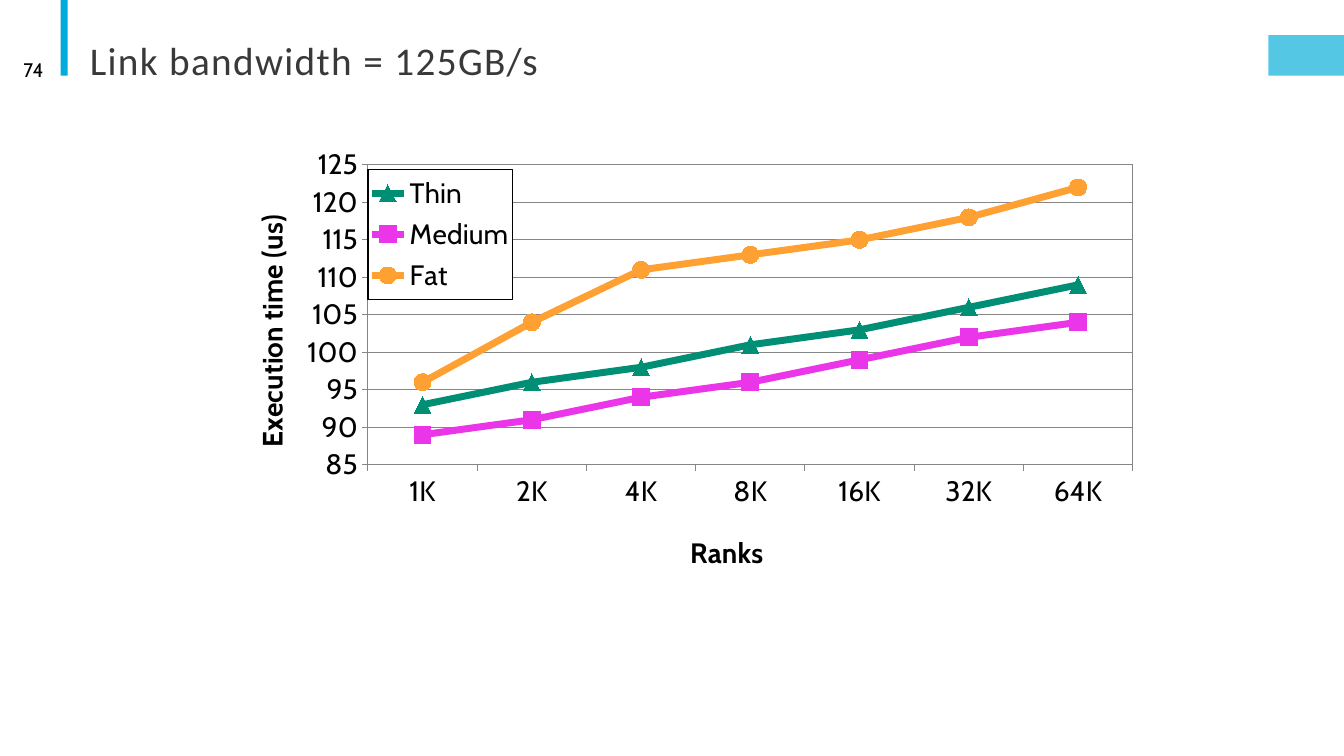
"""Build the link bandwidth slide with its execution time line chart."""
from dataclasses import dataclass
from typing import Any, Optional

from lxml import etree
from pptx import Presentation, oxml
from pptx import util as u
from pptx.chart.data import CategoryChartData
from pptx.dml.color import RGBColor
from pptx.enum import chart as ch, shapes, text
from pptx.oxml.ns import nsdecls, qn

BLACK = RGBColor(0x00, 0x00, 0x00)
TITLE_GRAY = RGBColor(0x3B, 0x38, 0x38)
GRID_GRAY = RGBColor(0x86, 0x86, 0x86)
CYAN = RGBColor(0x00, 0xAC, 0xD9)
GREEN = RGBColor(0x00, 0x8E, 0x74)
MAGENTA = RGBColor(0xEA, 0x35, 0xE8)
ORANGE = RGBColor(0xFF, 0xA0, 0x33)

RANKS = ["1K", "2K", "4K", "8K", "16K", "32K", "64K"]


@dataclass(frozen=True)
class Bar:
    left: float
    top: float
    width: float
    height: float
    rotation: float = 0
    alpha: Optional[int] = None


@dataclass(frozen=True)
class Topology:
    name: str
    times: tuple[int, ...]
    color: RGBColor
    marker: ch.XL_MARKER_STYLE


BARS = [
    Bar(0.26, 0.34, 0.75, 0.07, rotation=90),
    Bar(12.58, 0.35, 0.75, 0.4, alpha=67),
]
TOPOLOGIES = [
    Topology("Thin", (93, 96, 98, 101, 103, 106, 109), GREEN, ch.XL_MARKER_STYLE.TRIANGLE),
    Topology("Medium", (89, 91, 94, 96, 99, 102, 104), MAGENTA, ch.XL_MARKER_STYLE.SQUARE),
    Topology("Fat", (96, 104, 111, 113, 115, 118, 122), ORANGE, ch.XL_MARKER_STYLE.CIRCLE),
]


def set_attrs(target: Any, values: dict[str, Any]) -> None:
    for name, value in values.items():
        setattr(target, name, value)


def set_font(font: Any, name: str, size: float, color: RGBColor, bold: bool = False) -> None:
    set_attrs(font, {"name": name, "size": u.Pt(size), "bold": bold})
    font.color.rgb = color


def set_line(line: Any, color: RGBColor, width: float) -> None:
    line.color.rgb = color
    line.width = u.Pt(width)


def add_bar(slide: Any, bar: Bar) -> None:
    box = [u.Inches(n) for n in (bar.left, bar.top, bar.width, bar.height)]
    sp = slide.shapes.add_shape(shapes.MSO_SHAPE.RECTANGLE, *box)
    sp.shadow.inherit = False
    sp.rotation = bar.rotation
    sp.fill.solid()
    sp.fill.fore_color.rgb = CYAN
    sp.line.fill.background()
    if bar.alpha is not None:
        color = sp.fill._xPr.find(".//" + qn("a:srgbClr"))
        etree.SubElement(color, qn("a:alpha")).set("val", str(bar.alpha * 1000))


def add_title(slide: Any, words: str) -> None:
    sp = slide.shapes.title
    set_attrs(sp, {"left": u.Inches(0.79), "top": u.Inches(0.26),
                   "width": u.Inches(11), "height": u.Inches(0.62)})
    tf = sp.text_frame
    set_attrs(tf, {"auto_size": text.MSO_AUTO_SIZE.NONE, "word_wrap": True,
                   "vertical_anchor": text.MSO_ANCHOR.BOTTOM})
    p = tf.paragraphs[0]
    set_attrs(p, {"alignment": text.PP_ALIGN.LEFT, "line_spacing": 0.85})
    r = p.add_run()
    r.text = words
    set_font(r.font, "Calibri", 28, TITLE_GRAY)
    r.font._element.set("spc", "100")


def add_page_number(slide: Any, number: str) -> None:
    box = [u.Inches(n) for n in (0.07, 0.49, 0.46, 0.4)]
    tf = slide.shapes.add_textbox(*box).text_frame
    set_attrs(tf, {"word_wrap": True, "vertical_anchor": text.MSO_ANCHOR.MIDDLE})
    p = tf.paragraphs[0]
    p.alignment = text.PP_ALIGN.RIGHT
    r = p.add_run()
    r.text = number
    set_font(r.font, "Cabin", 14, BLACK)


def place(parent: Any, after: Optional[str], inner: bool = False, **edges: float) -> None:
    """Set a manual layout, in fractions of the chart, on a chart part."""
    for old in parent.findall(qn("c:layout")):
        parent.remove(old)
    settings: dict[str, Any] = {"layoutTarget": "inner"} if inner else {}
    settings |= {"xMode": "edge", "yMode": "edge"} | edges
    items = "".join(f'<c:{tag} val="{value}"/>' for tag, value in settings.items())
    layout = oxml.parse_xml(
        f'<c:layout {nsdecls("c")}><c:manualLayout>{items}</c:manualLayout></c:layout>')
    anchor = parent.find(qn(after)) if after else None
    if anchor is None:
        parent.insert(0, layout)
    else:
        anchor.addnext(layout)


def frame(fill: str, line: RGBColor) -> Any:
    return oxml.parse_xml(
        f'<c:spPr {nsdecls("c", "a")}>{fill}<a:ln w="9525"><a:solidFill>'
        f'<a:srgbClr val="{line}"/></a:solidFill></a:ln></c:spPr>')


def style_axis(axis: Any, title: str, x: float, y: float, turn: int) -> None:
    set_attrs(axis, {"major_tick_mark": ch.XL_TICK_MARK.OUTSIDE,
                     "minor_tick_mark": ch.XL_TICK_MARK.NONE})
    set_line(axis.format.line, GRID_GRAY, 0.75)
    set_font(axis.tick_labels.font, "Cabin", 20, BLACK)
    tf = axis.axis_title.text_frame
    tf.text = title
    set_font(tf.paragraphs[0].runs[0].font, "Cabin", 20, BLACK, bold=True)
    element = axis.axis_title._element
    element.find(".//" + qn("a:bodyPr")).set("rot", str(turn * 60000))
    place(element, "c:tx", x=x, y=y)


def add_time_chart(slide: Any) -> None:
    data = CategoryChartData()
    data.categories = RANKS
    for topology in TOPOLOGIES:
        data.add_series(topology.name, topology.times)
    box = [u.Inches(n) for n in (2.17, 1.37, 9.25, 4.44)]
    chart = slide.shapes.add_chart(ch.XL_CHART_TYPE.LINE_MARKERS, *box, data).chart
    set_attrs(chart, {"has_title": False, "has_legend": True})
    set_font(chart.font, "Cabin", 20, BLACK)

    plot = chart.plots[0]
    plot.vary_by_categories = False
    for series, topology in zip(plot.series, TOPOLOGIES):
        series.smooth = False
        set_line(series.format.line, topology.color, 5)
        set_attrs(series.marker, {"style": topology.marker, "size": 12})
        series.marker.format.fill.solid()
        series.marker.format.fill.fore_color.rgb = topology.color
        set_line(series.marker.format.line, topology.color, 0.75)

    style_axis(chart.category_axis, "Ranks", 0.5, 0.87, 0)
    times = chart.value_axis
    style_axis(times, "Execution time (us)", 0.03, 0.16, -90)
    set_attrs(times, {"minimum_scale": 85, "maximum_scale": 125,
                      "major_unit": 5, "has_major_gridlines": True})
    set_line(times.major_gridlines.format.line, GRID_GRAY, 0.75)

    area = chart._chartSpace.find(".//" + qn("c:plotArea"))
    place(area, None, inner=True, x=0.16, y=0.06, w=0.82, h=0.67)
    area.append(frame("<a:noFill/>", GRID_GRAY))

    legend = chart.legend
    set_attrs(legend, {"position": ch.XL_LEGEND_POSITION.RIGHT, "include_in_layout": True})
    set_font(legend.font, "Cabin", 20, BLACK)
    element = legend._element
    place(element, "c:legendPos", x=0.16, y=0.07, w=0.155, h=0.29)
    white = '<a:solidFill><a:srgbClr val="FFFFFF"/></a:solidFill>'
    element.find(qn("c:txPr")).addprevious(frame(white, BLACK))


def main() -> None:
    prs = Presentation()
    set_attrs(prs, {"slide_width": u.Inches(13.33), "slide_height": u.Inches(7.5)})
    slide = prs.slides.add_slide(prs.slide_layouts[5])
    for bar in BARS:
        add_bar(slide, bar)
    add_title(slide, "Link bandwidth = 125GB/s")
    add_page_number(slide, "74")
    add_time_chart(slide)
    prs.save("out.pptx")


if __name__ == "__main__":
    main()
